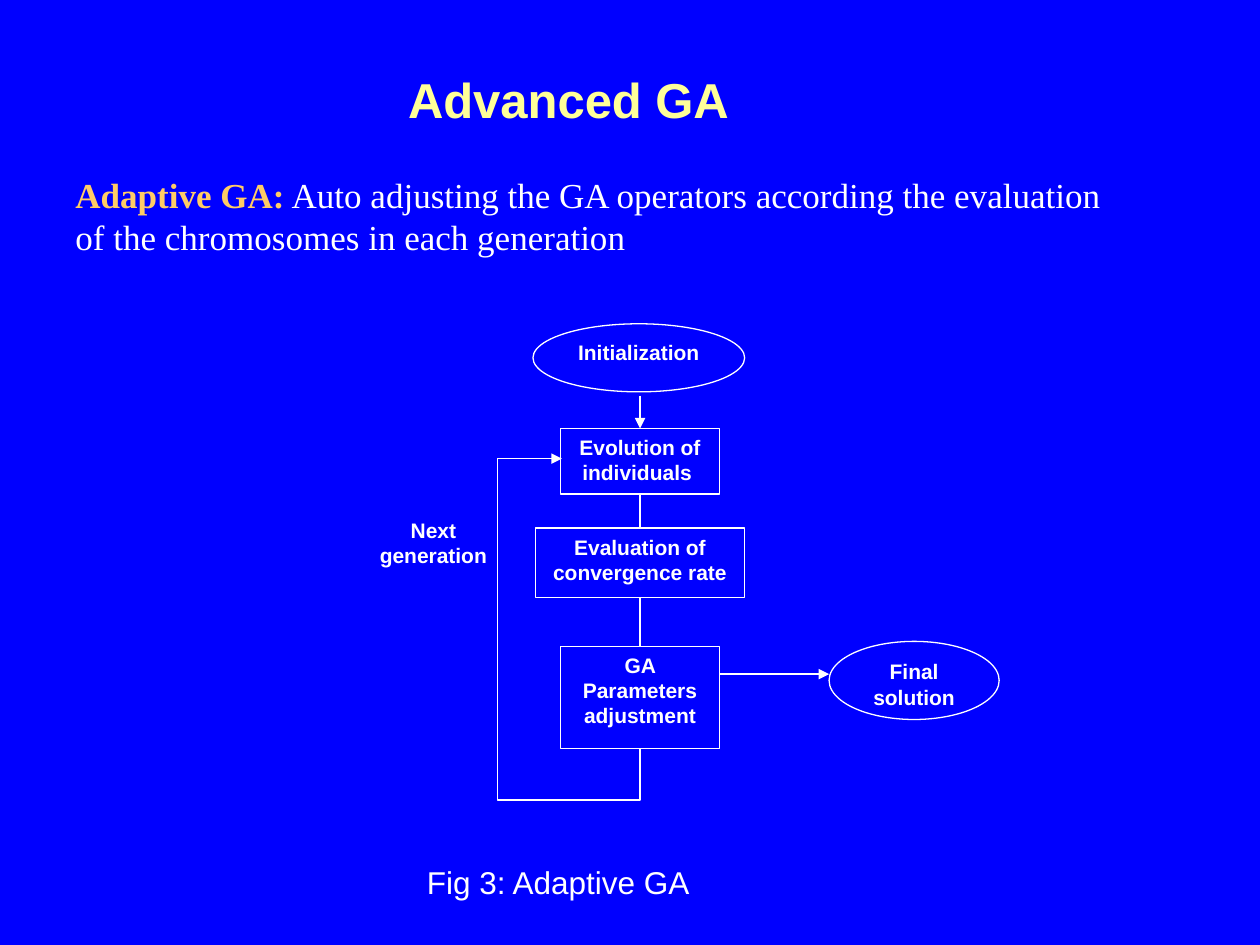
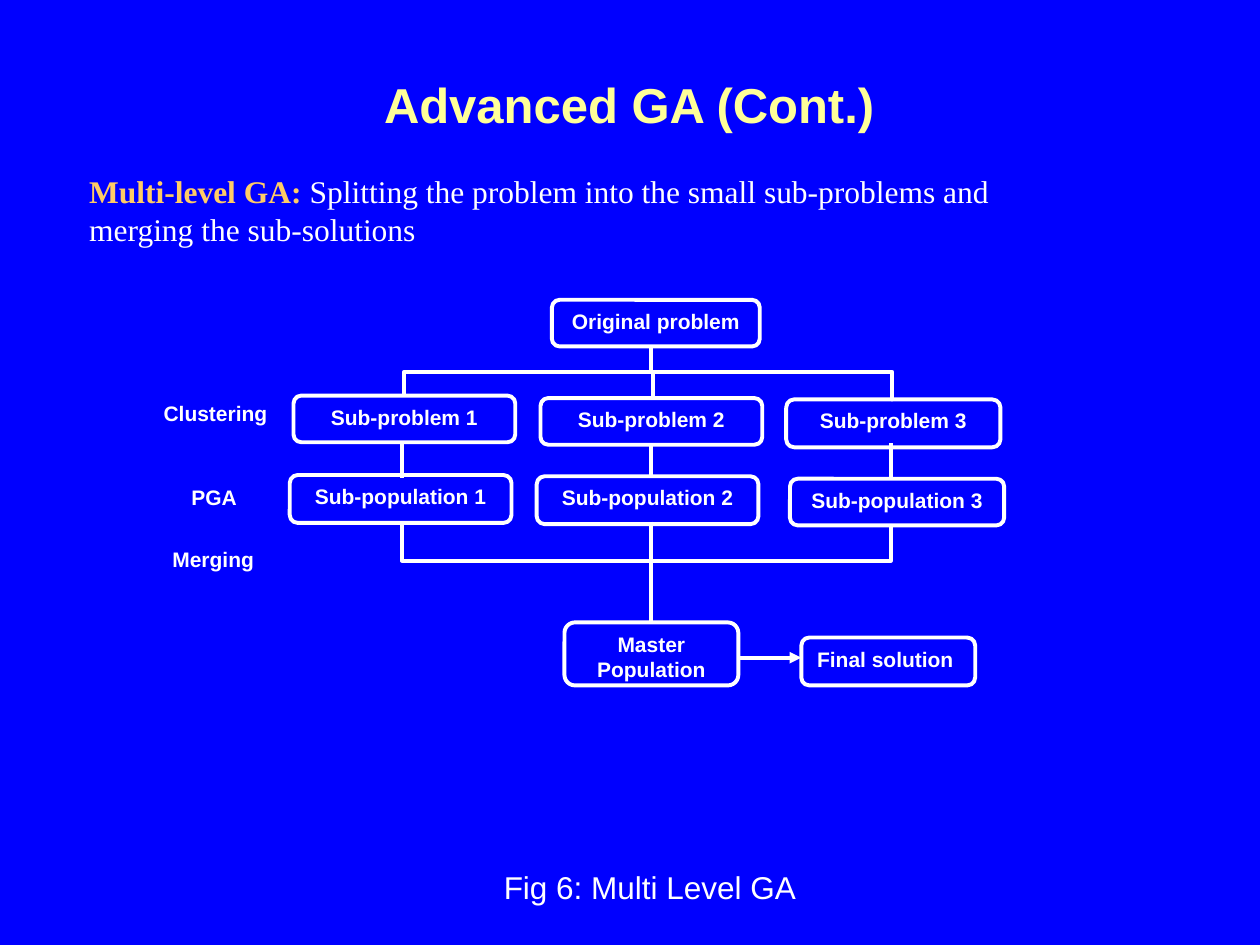
from dataclasses import dataclass

from lxml.etree import SubElement
from pptx import Presentation
from pptx.dml.color import RGBColor
from pptx.enum.shapes import MSO_CONNECTOR, MSO_SHAPE
from pptx.enum.text import MSO_ANCHOR, MSO_AUTO_SIZE, PP_ALIGN
from pptx.oxml.ns import qn
from pptx.util import Inches, Pt

BLUE = "0000FF"
WHITE = "FFFFFF"
TITLE_YELLOW = "FFFF99"
TERM_ORANGE = "FFCC66"
SANS = "Arial"
SERIF = "Times New Roman"
TOP, BOTTOM = 0, 2

Point = tuple[float, float]
Box = tuple[float, float, float, float]


@dataclass(frozen=True)
class Node:
    text: str
    box: Box
    outline: MSO_SHAPE


@dataclass(frozen=True)
class Link:
    """A straight line; source and target name nodes joined bottom to top."""
    start: Point
    end: Point
    source: str = ""
    target: str = ""
    arrow: bool = False


@dataclass(frozen=True)
class Route:
    """A bent line through several points."""
    points: list[Point]
    arrow: bool = False


@dataclass(frozen=True)
class Label:
    text: str
    box: Box
    align: PP_ALIGN = PP_ALIGN.LEFT


@dataclass(frozen=True)
class Definition:
    term: str
    lines: tuple[str, str]
    box: Box
    size: int


@dataclass(frozen=True)
class Page:
    title: Label
    definition: Definition
    caption: Label
    weight: float
    nodes: list[Node]
    links: list[Link]
    routes: list[Route]
    labels: list[Label]


def rgb(value: str) -> RGBColor:
    return RGBColor.from_string(value)


def inches(values: tuple[float, ...]) -> list[Inches]:
    return [Inches(value) for value in values]


def style_font(font, size: int, color: str = WHITE, bold: bool = False, name: str = SANS) -> None:
    font.name = name
    font.size = Pt(size)
    font.bold = bold
    font.color.rgb = rgb(color)


def fill_text(frame, text: str, align: PP_ALIGN, size: int, color: str, bold: bool) -> None:
    frame.text = text
    for paragraph in frame.paragraphs:
        paragraph.alignment = align
        style_font(paragraph.font, size, color, bold)


def add_label(slide, label: Label, size: int = 12, color: str = WHITE,
              bold: bool = True, wrap: bool = True) -> None:
    frame = slide.shapes.add_textbox(*inches(label.box)).text_frame
    frame.word_wrap = wrap
    if not wrap:
        frame.auto_size = MSO_AUTO_SIZE.SHAPE_TO_FIT_TEXT
    fill_text(frame, label.text, label.align, size, color, bold)


def add_definition(slide, definition: Definition) -> None:
    frame = slide.shapes.add_textbox(*inches(definition.box)).text_frame
    frame.word_wrap = True
    frame.auto_size = MSO_AUTO_SIZE.SHAPE_TO_FIT_TEXT
    first, second = definition.lines
    opening = frame.paragraphs[0]
    closing = frame.add_paragraph()
    for paragraph in (opening, closing):
        style_font(paragraph.font, definition.size, name=SERIF)
    term = opening.add_run()
    term.text = definition.term
    term.font.bold = True
    term.font.color.rgb = rgb(TERM_ORANGE)
    opening.add_run().text = first
    closing.add_run().text = second


def style_line(shape, weight: float, arrow: bool = False) -> None:
    shape.line.color.rgb = rgb(WHITE)
    shape.line.width = Pt(weight)
    if arrow:
        SubElement(shape.element.spPr.find(qn("a:ln")), qn("a:tailEnd"), type="triangle")


def add_node(slide, node: Node, weight: float):
    shape = slide.shapes.add_shape(node.outline, *inches(node.box))
    shape.shadow.inherit = False
    shape.fill.background()
    style_line(shape, weight)
    frame = shape.text_frame
    frame.word_wrap = True
    frame.vertical_anchor = MSO_ANCHOR.TOP
    fill_text(frame, node.text, PP_ALIGN.CENTER, 12, WHITE, True)
    return shape


def add_link(slide, link: Link, weight: float, placed: dict) -> None:
    line = slide.shapes.add_connector(MSO_CONNECTOR.STRAIGHT, *inches(link.start + link.end))
    style_line(line, weight, link.arrow)
    SubElement(line.element.spPr, qn("a:effectLst"))
    if link.source:
        line.begin_connect(placed[link.source], BOTTOM)
    if link.target:
        line.end_connect(placed[link.target], TOP)


def add_route(slide, route: Route, weight: float) -> None:
    start, *rest = [inches(point) for point in route.points]
    builder = slide.shapes.build_freeform(*start)
    builder.add_line_segments(rest, close=False)
    shape = builder.convert_to_shape()
    shape.shadow.inherit = False
    shape.fill.background()
    style_line(shape, weight, route.arrow)


def add_page(deck, page: Page) -> None:
    slide = deck.slides.add_slide(deck.slide_layouts[6])
    background = slide.background.fill
    background.solid()
    background.fore_color.rgb = rgb(BLUE)
    add_label(slide, page.title, 28, TITLE_YELLOW, wrap=False)
    add_definition(slide, page.definition)
    add_label(slide, page.caption, 18, bold=False, wrap=False)
    placed = {node.text: add_node(slide, node, page.weight) for node in page.nodes}
    for link in page.links:
        add_link(slide, link, page.weight, placed)
    for route in page.routes:
        add_route(slide, route, page.weight)
    for label in page.labels:
        add_label(slide, label)


PROCESS = MSO_SHAPE.FLOWCHART_PROCESS
ROUNDED = MSO_SHAPE.FLOWCHART_ALTERNATE_PROCESS
EVOLUTION = "Evolution of individuals "
EVALUATION = "Evaluation of convergence rate"
ADJUSTMENT = "GA Parameters\nadjustment"
MASTER = "Master Population"

ADAPTIVE = Page(
    title=Label("Advanced GA", (3.14, 0.5, 2.8, 0.57)),
    definition=Definition(
        "Adaptive GA:",
        (" Auto adjusting the GA operators according the evaluation",
         "of the chromosomes in each generation"),
        (0.5, 1.33, 8.92, 0.77), 20),
    caption=Label("Fig 3: Adaptive GA", (3.29, 6.8, 2.3, 0.4)),
    weight=0.75,
    nodes=[
        Node("Initialization", (4.23, 2.57, 1.68, 0.54), MSO_SHAPE.OVAL),
        Node(EVOLUTION, (4.45, 3.4, 1.26, 0.52), PROCESS),
        Node(EVALUATION, (4.25, 4.19, 1.66, 0.55), PROCESS),
        Node(ADJUSTMENT, (4.45, 5.13, 1.26, 0.81), MSO_SHAPE.RECTANGLE),
        Node("Final solution", (6.58, 5.09, 1.35, 0.62), MSO_SHAPE.OVAL),
    ],
    links=[
        Link((5.08, 3.14), (5.08, 3.4), target=EVOLUTION, arrow=True),
        Link((5.08, 3.92), (5.08, 4.19), EVOLUTION, EVALUATION),
        Link((5.08, 4.74), (5.08, 5.13), EVALUATION, ADJUSTMENT),
        Link((5.71, 5.35), (6.58, 5.35), arrow=True),
    ],
    routes=[Route([(5.08, 5.94), (5.08, 6.35), (3.95, 6.35), (3.95, 3.64), (4.46, 3.64)], True)],
    labels=[Label("Next generation", (2.8, 4.06, 1.28, 0.5), PP_ALIGN.CENTER)],
)

PROBLEMS = [(2.33, 3.14, 1.76, 0.37), (4.29, 3.16, 1.76, 0.37), (6.24, 3.17, 1.7, 0.38)]
POPULATIONS = [(2.3, 3.77, 1.76, 0.38), (4.26, 3.78, 1.76, 0.38), (6.27, 3.8, 1.7, 0.37)]
BRANCHES = LEFT, MIDDLE, RIGHT = 3.19, 5.17, 7.07
SPLIT_Y, MERGE_Y = 2.95, 4.45

MULTI_LEVEL = Page(
    title=Label("Advanced GA (Cont.)", (2.95, 0.54, 4.1, 0.57)),
    definition=Definition(
        "Multi-level GA:",
        (" Splitting the problem into the small sub-problems and",
         "merging the sub-solutions"),
        (0.61, 1.32, 8.63, 0.7), 18),
    caption=Label("Fig 6: Multi Level GA", (3.9, 6.84, 2.52, 0.4)),
    weight=2.25,
    nodes=[
        Node("Original problem", (4.38, 2.38, 1.65, 0.37), ROUNDED),
        *(Node(f"Sub-problem {n}", box, ROUNDED) for n, box in enumerate(PROBLEMS, 1)),
        *(Node(f"Sub-population {n}", box, ROUNDED) for n, box in enumerate(POPULATIONS, 1)),
        Node(MASTER, (4.48, 4.94, 1.38, 0.5), ROUNDED),
        Node("Final solution ", (6.36, 5.06, 1.38, 0.38), ROUNDED),
    ],
    links=[
        Link((MIDDLE, 2.76), (MIDDLE, SPLIT_Y)),
        *(Link((x, 3.52), (x, 3.79)) for x in BRANCHES),
        Link((MIDDLE, 4.14), (MIDDLE, MERGE_Y)),
        Link((MIDDLE, MERGE_Y), (MIDDLE, 4.94), target=MASTER),
        Link((5.86, 5.22), (6.36, 5.22), arrow=True),
    ],
    routes=[
        Route([(3.21, 3.14), (3.21, SPLIT_Y), (7.08, SPLIT_Y), (7.08, 3.17),
               (7.08, SPLIT_Y), (5.18, SPLIT_Y), (5.18, 3.14)]),
        Route([(LEFT, 4.16), (LEFT, MERGE_Y), (RIGHT, MERGE_Y), (RIGHT, 4.16)]),
    ],
    labels=[
        Label("Clustering", (1.2, 3.13, 1.12, 0.37)),
        Label("PGA", (1.42, 3.8, 0.63, 0.37)),
        Label("Merging", (1.27, 4.29, 0.87, 0.37)),
    ],
)


def main() -> None:
    deck = Presentation()
    deck.slide_width, deck.slide_height = Inches(10), Inches(7.5)
    for page in (ADAPTIVE, MULTI_LEVEL):
        add_page(deck, page)
    deck.save("out.pptx")


if __name__ == "__main__":
    main()
